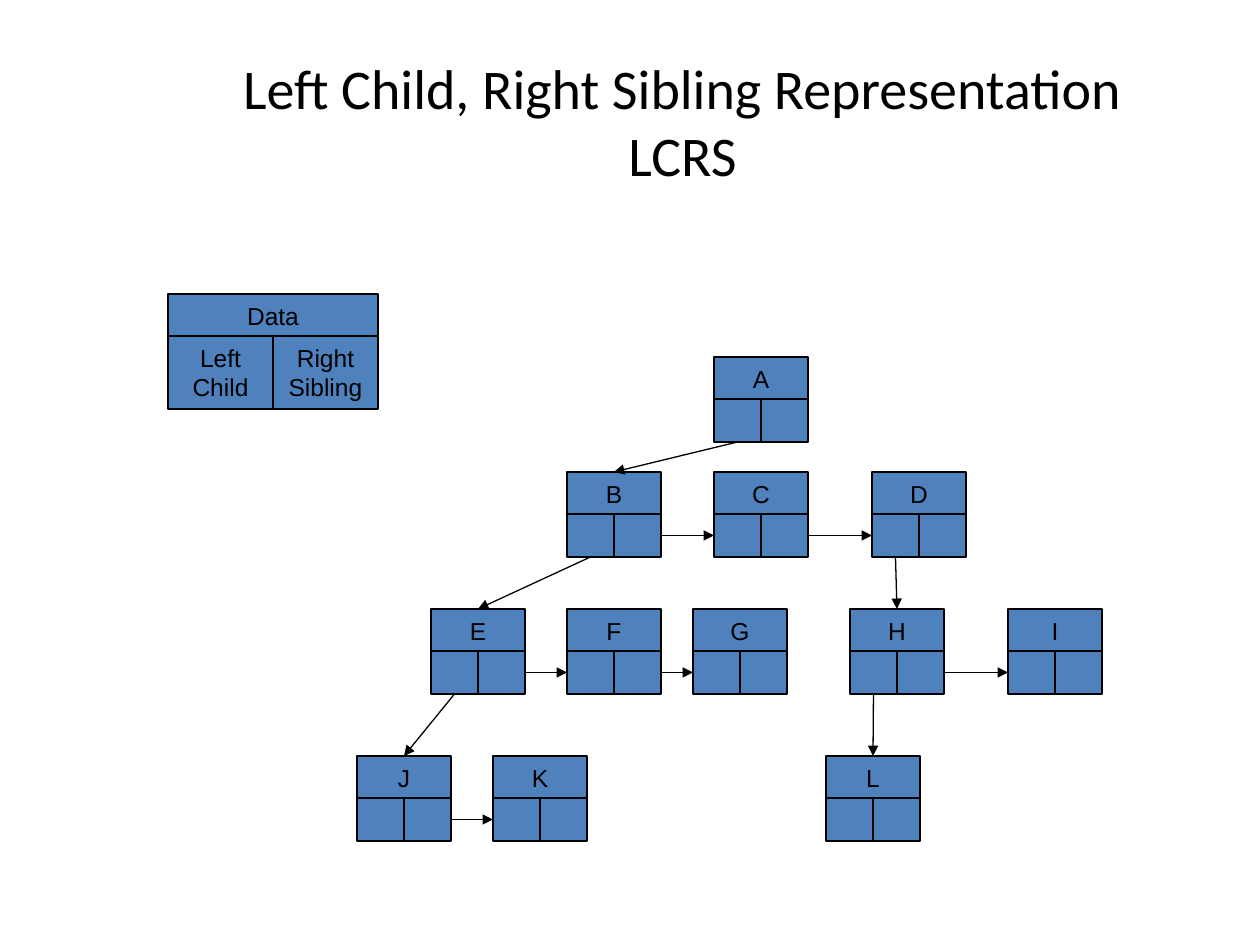
from pptx import Presentation
from pptx.dml.color import RGBColor
from pptx.enum.shapes import MSO_CONNECTOR as Connector, MSO_SHAPE as Shape
from pptx.enum.text import MSO_ANCHOR as Anchor, PP_ALIGN as Align
from pptx.oxml.ns import qn
from pptx.util import Pt
from lxml.etree import SubElement

# Content
TITLE = "Left Child, Right Sibling Representation\vLCRS"
TITLE_BOX = (105, 42, 1155, 157)
LEGEND = ("Data", "Left Child", "Right Sibling")
LEGEND_AT = (168, 294)
ROWS = [  # top, then the left edge of each node
    (357, {"A": 714}),
    (472, {"B": 567, "C": 714, "D": 872}),
    (609, {"E": 431, "F": 567, "G": 693, "H": 850, "I": 1008}),
    (756, {"J": 357, "K": 493, "L": 826}),
]
LEFT_CHILDREN = ["AB", "BE", "EJ", "DH", "HL"]
RIGHT_SIBLINGS = ["BC", "CD", "EF", "FG", "HI", "JK"]

# Sizes and colours
PX = 914400 / 126
HEAD_STEP, HEAD_HEIGHT = 42, 43
NODE_CELL, LEGEND_CELL = (47, 43), (105, 73)
BLACK = RGBColor(0x00, 0x00, 0x00)
BLUE = RGBColor(0x4F, 0x81, 0xBD)
TITLE_FONT = {"name": "Calibri", "size": Pt(32)}
CELL_FONT = {"name": "Arial", "size": Pt(14)}
TOP, LEFT, BOTTOM, RIGHT = range(4)


def emu(*lengths):
    return [round(length * PX) for length in lengths]


def write(box, text, font):
    frame = box.text_frame
    frame.word_wrap = True
    frame.vertical_anchor = Anchor.MIDDLE
    para = frame.paragraphs[0]
    para.text = text
    para.alignment = Align.CENTER
    for span in para.runs:
        for key, value in font.items():
            setattr(span.font, key, value)
        span.font.color.rgb = BLACK


def add_cell(group, left, top, width, height, text):
    cell = group.shapes.add_shape(Shape.RECTANGLE, *emu(left, top, width, height))
    cell.shadow.inherit = False
    cell.fill.solid()
    cell.fill.fore_color.rgb = BLUE
    cell.line.color.rgb = BLACK
    cell.line.width = Pt(0.75)
    if text:
        write(cell, text, CELL_FONT)
    return cell


def add_node(slide, left, top, cell_size, texts):
    """Data cell above two link cells; returns the three cells."""
    width, height = cell_size
    group = slide.shapes.add_group_shape()
    places = [
        (left, top, 2 * width, HEAD_HEIGHT),
        (left, top + HEAD_STEP, width, height),
        (left + width, top + HEAD_STEP, width, height),
    ]
    return [add_cell(group, *place, text) for place, text in zip(places, texts)]


def add_arrow(slide, start, start_side, end, end_side):
    arrow = slide.shapes.add_connector(Connector.STRAIGHT, 0, 0, 0, 0)
    arrow.begin_connect(start, start_side)
    arrow.end_connect(end, end_side)
    arrow.line.color.rgb = BLACK
    arrow.line.width = Pt(0.75)
    SubElement(arrow.line._get_or_add_ln(), qn("a:tailEnd"), type="triangle")
    SubElement(arrow._element.spPr, qn("a:effectLst"))


deck = Presentation()
deck.slide_width, deck.slide_height = emu(1260, 945)
page = deck.slides.add_slide(deck.slide_layouts[6])

# Title and legend
write(page.shapes.add_textbox(*emu(*TITLE_BOX)), TITLE, TITLE_FONT)
add_node(page, *LEGEND_AT, LEGEND_CELL, LEGEND)

# Tree nodes
nodes = {
    name: add_node(page, left, top, NODE_CELL, (name, "", ""))
    for top, row in ROWS
    for name, left in row.items()
}

# Links
for parent, child in LEFT_CHILDREN:
    add_arrow(page, nodes[parent][1], BOTTOM, nodes[child][0], TOP)
for node, sibling in RIGHT_SIBLINGS:
    add_arrow(page, nodes[node][2], RIGHT, nodes[sibling][1], LEFT)

deck.save("out.pptx")
